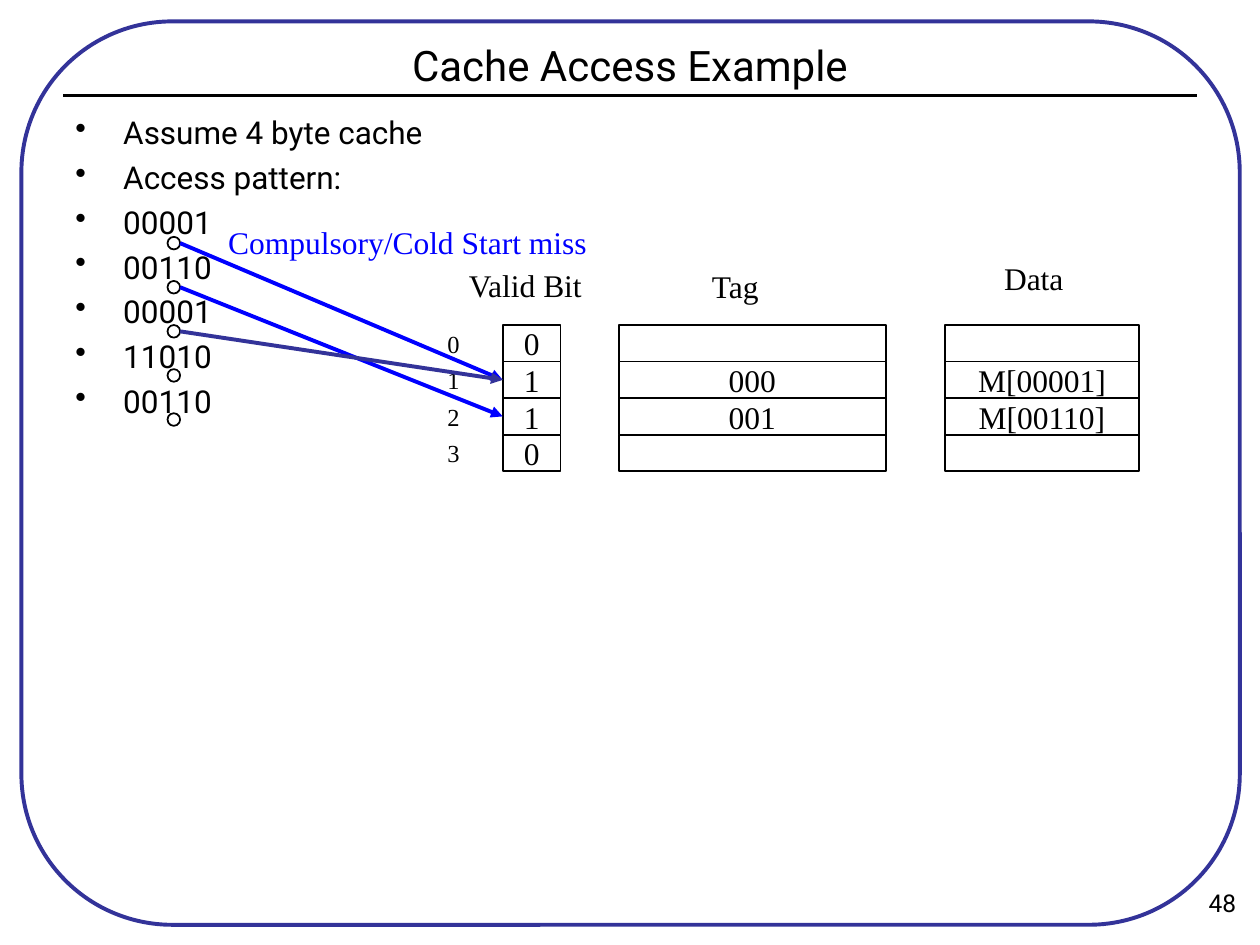
from lxml import etree
from pptx import Presentation
from pptx.dml.color import RGBColor
from pptx.enum.shapes import MSO_CONNECTOR, MSO_SHAPE
from pptx.enum.text import MSO_ANCHOR, PP_ALIGN
from pptx.oxml.ns import qn
from pptx.util import Inches, Pt

COLORS = {"ink": "000000", "paper": "FFFFFF", "frame": "333399", "miss": "0000FF"}
SANS, SERIF = "Roboto", "Times New Roman"


class SlideBuilder:
    def __init__(self, slide):
        self.slide = slide

    def color(self, name):
        return RGBColor.from_string(COLORS[name])

    def set_text(self, shape, lines, size, font, color="ink", align=PP_ALIGN.CENTER,
                 anchor=MSO_ANCHOR.TOP, wrap=False):
        frame = shape.text_frame
        frame.text = "\n".join(lines)
        frame.word_wrap = wrap
        frame.vertical_anchor = anchor
        for paragraph in frame.paragraphs:
            paragraph.alignment = align
            for run in paragraph.runs:
                run.font.size = Pt(size)
                run.font.name = font
                run.font.color.rgb = self.color(color)

    def text(self, box, lines, size=18, font=SERIF, **style):
        shape = self.slide.shapes.add_textbox(*map(Inches, box))
        self.set_text(shape, lines, size, font, **style)
        return shape

    def bullets(self, box, lines):
        shape = self.text(box, lines, font=SANS, align=PP_ALIGN.LEFT, wrap=True)
        for paragraph in shape.text_frame.paragraphs:
            paragraph.space_before = Pt(4)
            properties = paragraph._p.get_or_add_pPr()
            properties.set("marL", str(Inches(0.38)))
            properties.set("indent", str(-Inches(0.38)))
            etree.SubElement(properties, qn("a:buChar")).set("char", "•")

    def shape(self, kind, box, line="ink", width=1, fill="paper", label=""):
        shape = self.slide.shapes.add_shape(kind, *map(Inches, box))
        shape.shadow.inherit = False
        if fill:
            shape.fill.solid()
            shape.fill.fore_color.rgb = self.color(fill)
        else:
            shape.fill.background()
        shape.line.color.rgb = self.color(line)
        shape.line.width = Pt(width)
        if label:
            self.set_text(shape, [label], 18, SERIF, anchor=MSO_ANCHOR.MIDDLE)
        return shape

    def line(self, start, end, color="ink", width=1.5, arrow=False):
        connector = self.slide.shapes.add_connector(
            MSO_CONNECTOR.STRAIGHT, *map(Inches, (*start, *end)))
        connector.line.color.rgb = self.color(color)
        connector.line.width = Pt(width)
        properties = connector._element.spPr
        if arrow:
            outline = properties.find(qn("a:ln"))
            etree.SubElement(outline, qn("a:tailEnd")).set("type", "triangle")
        etree.SubElement(properties, qn("a:effectLst"))


presentation = Presentation()
presentation.slide_width, presentation.slide_height = Inches(10), Inches(7.5)
builder = SlideBuilder(presentation.slides.add_slide(presentation.slide_layouts[6]))

# Frame, title and page number
frame = builder.shape(MSO_SHAPE.ROUNDED_RECTANGLE, (0.17, 0.17, 9.67, 7.17),
                      line="frame", width=2.25, fill=None)
frame.adjustments[0] = 0.167
builder.line((0.5, 0.76), (9.5, 0.76))
builder.text((7.58, 7, 2.33, 0.42), ["48"], 14, SANS, align=PP_ALIGN.RIGHT, wrap=True)
builder.text((0.5, 0.26, 9, 0.5), ["Cache Access Example"], 24, SANS,
             anchor=MSO_ANCHOR.MIDDLE, wrap=True)

# Access pattern
accesses = ["00001", "00110", "00001", "11010", "00110"]
builder.bullets((0.5, 0.85, 9, 6.06),
                ["Assume 4 byte cache", "Access pattern:", *accesses])

# Cache contents: left, width, values of each column
CACHE_TOP, ROW_HEIGHT = 2.58, 0.29
columns = [
    (3.99, 0.46, ["0", "1", "1", "0"]),
    (4.91, 2.12, ["", "000", "001", ""]),
    (7.5, 1.54, ["", "M[00001]", "M[00110]", ""]),
]
for row in range(4):
    builder.text((3.45, 2.56 + row * ROW_HEIGHT, 0.3, 0.33), [str(row)], 14)
for left, width, values in columns:
    for row, value in enumerate(values):
        builder.shape(MSO_SHAPE.RECTANGLE,
                      (left, CACHE_TOP + row * ROW_HEIGHT, width, ROW_HEIGHT), label=value)

# Column headings
for heading, left, top, width in [("Valid Bit", 3.61, 2.06, 1.12),
                                  ("Tag", 5.54, 2.07, 0.59),
                                  ("Data", 7.87, 2.01, 0.67)]:
    builder.text((left, top, width, 0.4), [heading])

# Markers under the accesses, and arrows to the cache rows
MARKER_LEFT, MARKER_TOP, MARKER_SIZE, MARKER_STEP = 1.33, 1.88, 0.1, 0.35
for index in range(len(accesses)):
    builder.shape(MSO_SHAPE.OVAL, (MARKER_LEFT, MARKER_TOP + index * MARKER_STEP,
                                   MARKER_SIZE, MARKER_SIZE))
for index, (row, color) in enumerate([(1, "miss"), (2, "miss"), (1, "frame")]):
    start = (MARKER_LEFT + MARKER_SIZE,
             MARKER_TOP + MARKER_SIZE / 2 + index * MARKER_STEP)
    end = (columns[0][0], CACHE_TOP + (row + 0.5) * ROW_HEIGHT)
    builder.line(start, end, color, 2.25, arrow=True)
builder.text((1.71, 1.72, 3.05, 0.4), ["Compulsory/Cold Start miss"], color="miss")

presentation.save("out.pptx")
